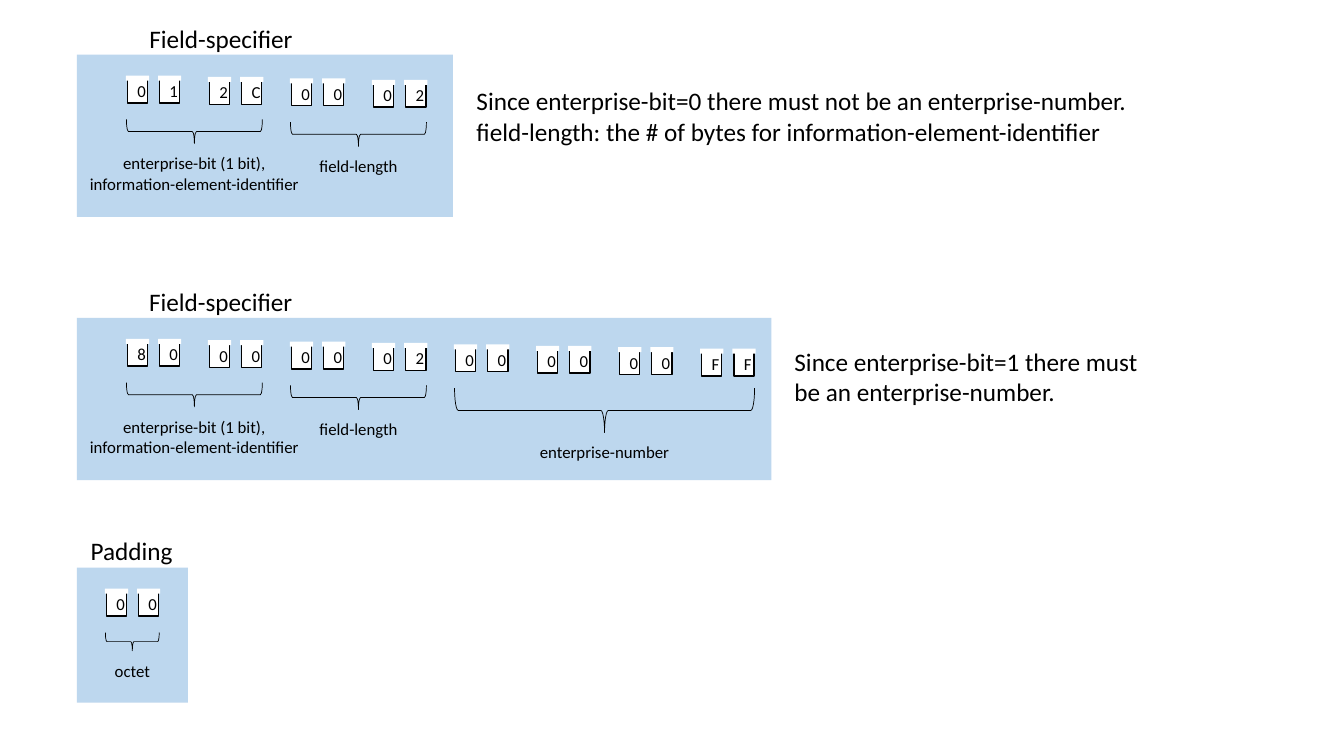
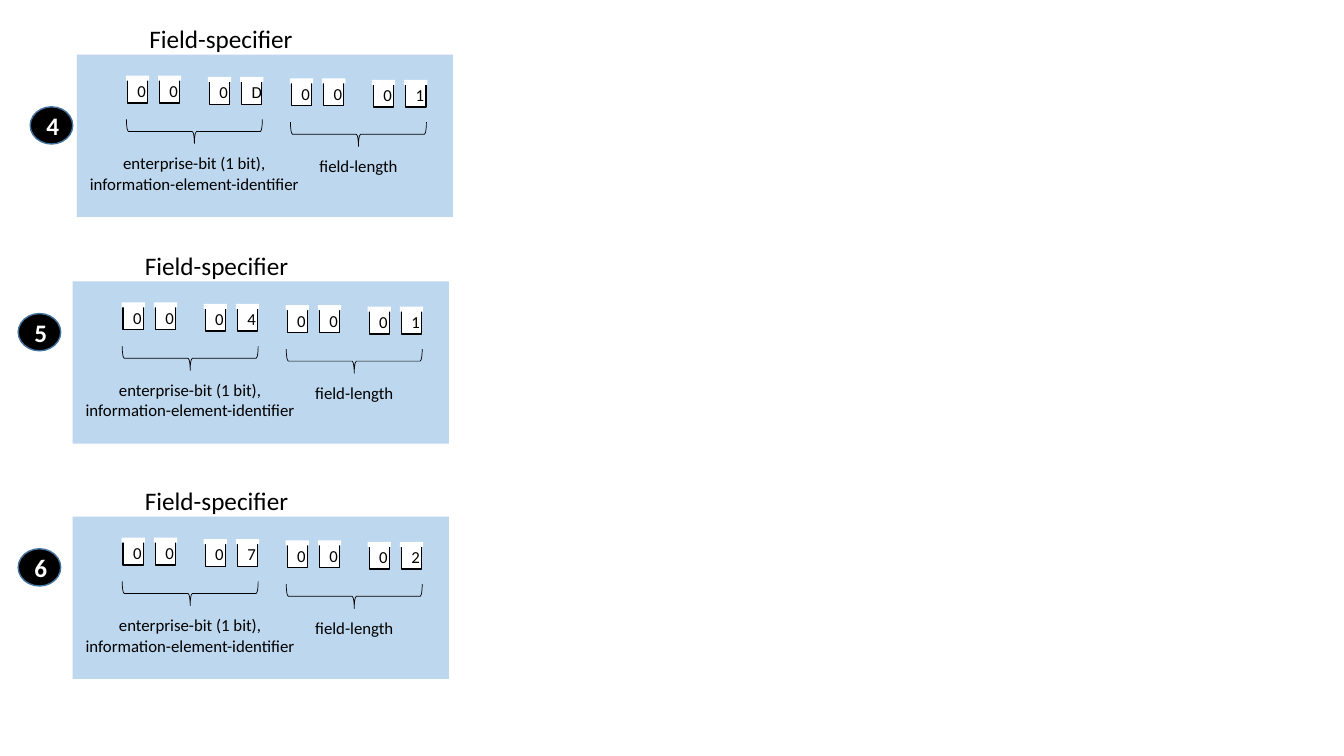
from pptx import Presentation
from pptx.dml.color import RGBColor
from pptx.enum.shapes import MSO_SHAPE
from pptx.enum.text import MSO_ANCHOR, MSO_AUTO_SIZE, PP_ALIGN
from pptx.util import Pt

BLACK = RGBColor(0x00, 0x00, 0x00)
WHITE = RGBColor(0xFF, 0xFF, 0xFF)
PANEL_BLUE = RGBColor(0xBD, 0xD7, 0xEE)
BADGE_EDGE = RGBColor(0x43, 0x73, 0x9E)

FONT = "Calibri"
SMALL, LARGE = 12, 18
OCTET_PITCH, OCTET_DROP = 58.6, 1
DIGIT_PITCH, DIGIT_W, DIGIT_H = 23, 14.4, 17.3
FIRST_X, FIRST_Y = 36, 17.3
PANEL_W, PANEL_H = 268.6, 116

IDENTIFIER = "enterprise-bit (1 bit),\ninformation-element-identifier"
LENGTH = "field-length"


def write(sp, text, size, color=BLACK, align=PP_ALIGN.CENTER, bold=False):
    """Put formatted text into a shape."""
    tf = sp.text_frame
    tf.text = text
    for p in tf.paragraphs:
        p.alignment = align
        for r in p.runs:
            r.font.name, r.font.size = FONT, Pt(size)
            r.font.bold = bold
            r.font.color.rgb = color


def add_shape(shapes, kind, x, y, w, h, fill=None, line=None, weight=1):
    """Add a preset shape without shadow."""
    sp = shapes.add_shape(kind, Pt(x), Pt(y), Pt(w), Pt(h))
    sp.shadow.inherit = False
    if fill is None:
        sp.fill.background()
    else:
        sp.fill.solid()
        sp.fill.fore_color.rgb = fill
    if line is None:
        sp.line.fill.background()
    else:
        sp.line.color.rgb = line
        sp.line.width = Pt(weight)
    return sp


def add_label(shapes, text, x, y, w, h, size, align=PP_ALIGN.LEFT, wrap=False):
    """Add a text box that fits its text."""
    sp = shapes.add_textbox(Pt(x), Pt(y), Pt(w), Pt(h))
    write(sp, text, size, align=align)
    sp.text_frame.word_wrap = wrap
    sp.text_frame.auto_size = MSO_AUTO_SIZE.SHAPE_TO_FIT_TEXT


def add_heading(s, text, x, y, w):
    """Head a panel, using the title placeholder for the first one."""
    title = s.shapes.title
    if title.text_frame.text:
        add_label(s.shapes, text, x, y, w, 29, LARGE)
        return
    title.left, title.top, title.width, title.height = Pt(x), Pt(y), Pt(w), Pt(29)
    write(title, text, LARGE, align=PP_ALIGN.LEFT)
    tf = title.text_frame
    tf.vertical_anchor = MSO_ANCHOR.TOP
    tf.word_wrap = False
    tf.auto_size = MSO_AUTO_SIZE.NONE


def add_octet(shapes, digits, x, y):
    """Draw the open-topped boxes of one octet."""
    for i, digit in enumerate(digits):
        left = x + i * DIGIT_PITCH
        sp = add_shape(shapes, MSO_SHAPE.RECTANGLE, left, y, DIGIT_W, DIGIT_H, WHITE, BLACK)
        write(sp, digit, SMALL)
        sp.text_frame.vertical_anchor = MSO_ANCHOR.MIDDLE
        add_shape(shapes, MSO_SHAPE.RECTANGLE, left - 1.1, y - 2.3, 16.6, 3.6, WHITE)


def add_field(s, octets, label, label_w, x, y, depth=17.3):
    """Draw octets with a brace and a label below them."""
    shapes = s.shapes.add_group_shape().shapes
    for i, digits in enumerate(octets):
        add_octet(shapes, digits, x + i * OCTET_PITCH, y + i * OCTET_DROP)
    span = (len(octets) - 1) * OCTET_PITCH + 38.5
    mid, top = x - 0.7 + span / 2, y + 29
    brace = add_shape(shapes, MSO_SHAPE.LEFT_BRACE, mid - depth / 2,
                      top + depth / 2 - span / 2, depth, span, line=BLACK, weight=0.5)
    brace.rotation = 270
    label_h = 36 if "\n" in label else 22
    add_label(shapes, label, mid - label_w / 2, top + depth + 3.3, label_w, label_h,
              SMALL, PP_ALIGN.CENTER)


def add_specifier(s, x, y, octets, w=PANEL_W):
    """Draw a field-specifier panel, with an enterprise number if there is one."""
    add_shape(s.shapes, MSO_SHAPE.RECTANGLE, x, y, w, PANEL_H, PANEL_BLUE)
    fields = [(0, 2, IDENTIFIER, 165.6, 17.3), (2, 4, LENGTH, 70.6, 17.3),
              (4, 8, "enterprise-number", 107.3, 31.7)]
    for start, end, label, label_w, depth in fields:
        if octets[start:end]:
            add_field(s, octets[start:end], label, label_w, x + FIRST_X + start * OCTET_PITCH,
                      y + FIRST_Y + start * OCTET_DROP, depth)
    add_heading(s, "Field-specifier", x + 44.4, y - 26, 118)


def add_padding(s, x, y):
    """Draw the padding panel."""
    add_shape(s.shapes, MSO_SHAPE.RECTANGLE, x, y, 79.2, 96.5, PANEL_BLUE)
    add_field(s, ["00"], "octet", 40.3, x + 21, y + FIRST_Y, 13)
    add_heading(s, "Padding", x + 2.7, y - 26.5, 73.4)


def add_badge(s, number, x, y):
    """Draw a numbered black ellipse."""
    sp = add_shape(s.shapes, MSO_SHAPE.OVAL, x, y, 30.4, 26.6, BLACK, BADGE_EDGE)
    write(sp, number, LARGE, WHITE, bold=True)
    sp.text_frame.vertical_anchor = MSO_ANCHOR.MIDDLE


def build_formats(s):
    """Show both specifier formats and the padding."""
    add_specifier(s, 55, 39, ["01", "2C", "00", "02"])
    add_specifier(s, 55, 227, ["80", "00", "00", "02", "00", "00", "00", "FF"], 496)
    add_label(s.shapes, "Since enterprise-bit=0 there must not be an enterprise-number.\n"
              "field-length: the # of bytes for information-element-identifier",
              333.3, 57.6, 484.6, 51, LARGE)
    add_label(s.shapes, "Since enterprise-bit=1 there must be an enterprise-number.",
              560.4, 243.6, 269.3, 51, LARGE, wrap=True)
    add_padding(s, 55, 405.5)


def build_examples(s):
    """Show three numbered specifiers."""
    examples = [("4", "0D", "01", 55, 39, 21.6, 76.3),
                ("5", "04", "01", 52, 201, 13, 224),
                ("6", "07", "02", 52, 369, 13, 392)]
    for number, element, length, x, y, badge_x, badge_y in examples:
        add_specifier(s, x, y, ["00", element, "00", length])
        add_badge(s, number, badge_x, badge_y)


def main():
    """Build and save the slides."""
    prs = Presentation()
    prs.slide_width, prs.slide_height = Pt(960), Pt(540)
    for build in (build_formats, build_examples):
        build(prs.slides.add_slide(prs.slide_layouts[5]))
    prs.save("out.pptx")


if __name__ == "__main__":
    main()
